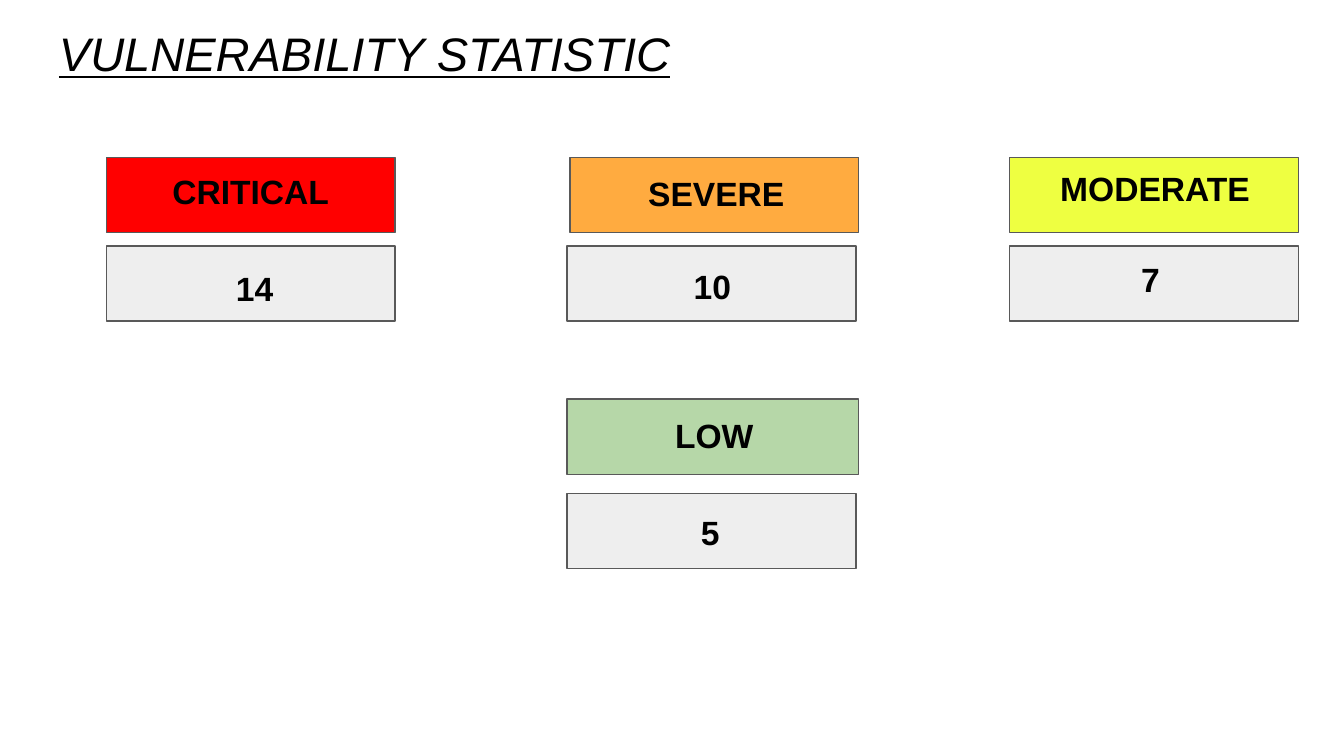
from pptx import Presentation
from pptx import util as u
from pptx.dml.color import RGBColor
from pptx.enum import shapes, text

deck = Presentation()
deck.slide_width = u.Inches(10)
deck.slide_height = deck.slide_width * 9 // 16
slide = deck.slides.add_slide(deck.slide_layouts[6])


def paint(fmt, color):
    fmt.solid()
    fmt.fore_color.rgb = RGBColor.from_string(color)


def write(words, left, top, wide, high, size):
    """Add a black Arial text box; return its frame, paragraph and font."""
    box = slide.shapes.add_textbox(*map(u.Inches, (left, top, wide, high)))
    frame = box.text_frame
    frame.text = words
    frame.word_wrap = True
    frame.margin_left = frame.margin_right = u.Inches(0.1)
    frame.margin_top = frame.margin_bottom = u.Inches(0.1)
    line = frame.paragraphs[0]
    font = line.runs[0].font
    font.name, font.size = "Arial", u.Pt(size)
    paint(font.fill, "000000")
    return frame, line, font


frame, line, font = write("VULNERABILITY STATISTIC", 0.34, 0.08, 9.32, 0.63, 25.2)
frame.vertical_anchor = text.MSO_ANCHOR.MIDDLE
font.italic = font.underline = True

# Grid: column lefts, row tops, and the size of every card
cols = [0.79, 4.22, 7.51]
rows = [1.17, 1.83, 2.97, 3.67]
WIDE, HIGH = 2.15, 0.56
GREY = "EEEEEE"

# words, fill, column, row, card (shift, extra width), label (shift x, shift y, width)
cards = [
    ("CRITICAL", "FF0000", 0, 0, (0, 0), (0, 0, 2.15)),
    ("14", GREY, 0, 1, (0, 0), (0.02, 0.06, 2.17)),
    ("SEVERE", "FFAB40", 1, 0, (0.02, 0), (0.06, 0.02, 2.1)),
    ("10", GREY, 1, 1, (0, 0), (0.06, 0.05, 2.04)),
    ("MODERATE", "EEFF41", 2, 0, (0, 0), (0.02, -0.02, 2.13)),
    ("7", GREY, 2, 1, (0, 0), (0.05, 0, 2)),
    ("LOW", "B6D7A8", 1, 2, (0, 0.02), (0.02, 0.02, 2.15)),
    ("5", GREY, 1, 3, (0, 0), (0, 0.04, 2.13)),
]

for words, fill, col, row, (shift, extra), _ in cards:
    card = slide.shapes.add_shape(
        shapes.MSO_SHAPE.RECTANGLE,
        *map(u.Inches, (cols[col] + shift, rows[row], WIDE + extra, HIGH)))
    card.shadow.inherit = False
    paint(card.fill, fill)
    paint(card.line.fill, "595959")
    card.line.width = u.Pt(0.75)

for words, _, col, row, _, (dx, dy, wide) in cards:
    frame, line, font = write(words, cols[col] + dx, rows[row] + dy, wide, 0.5, 18)
    frame.auto_size = text.MSO_AUTO_SIZE.SHAPE_TO_FIT_TEXT
    line.alignment = text.PP_ALIGN.CENTER
    font.bold = True

deck.save("out.pptx")
